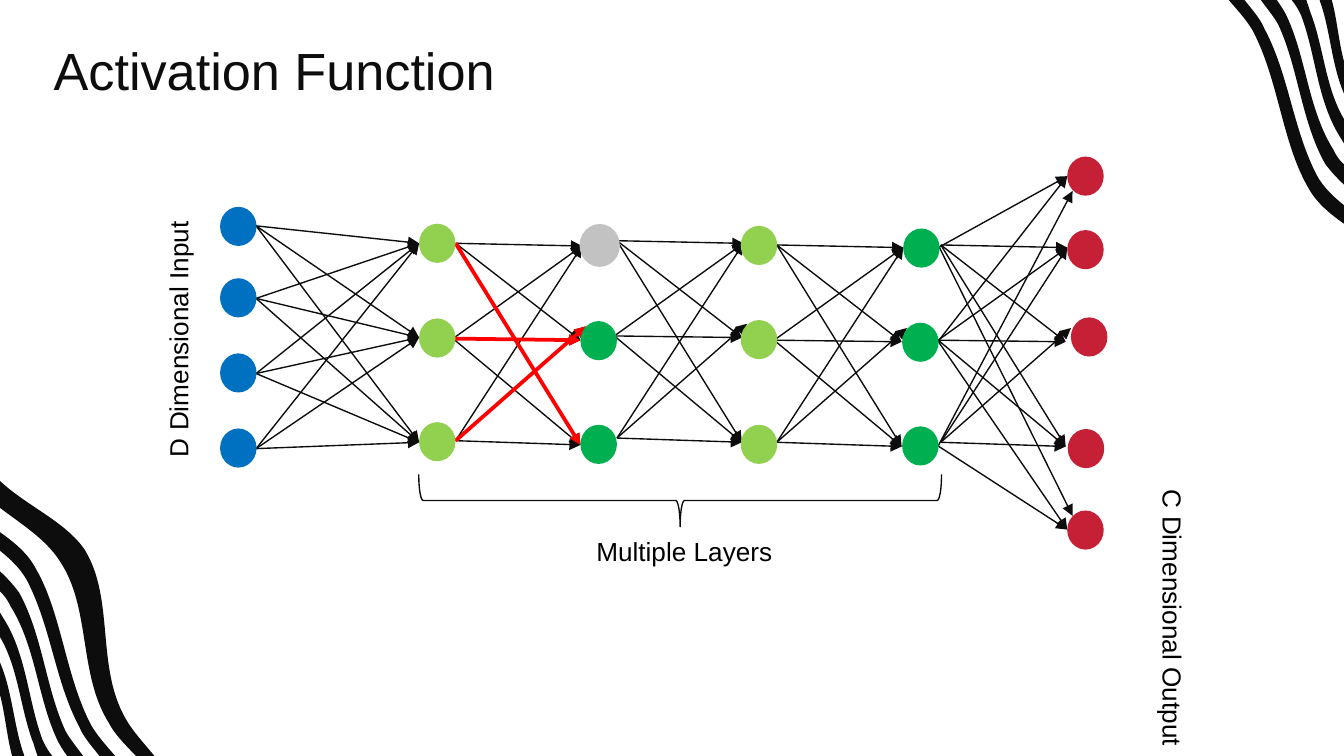
"""Build a slide showing a layered neural network and its activation paths."""
from itertools import product

from lxml.etree import SubElement
from pptx import Presentation
from pptx.dml.color import RGBColor
from pptx.enum.shapes import MSO_CONNECTOR, MSO_SHAPE
from pptx.enum.text import MSO_ANCHOR, PP_ALIGN
from pptx.oxml.ns import qn
from pptx.util import Cm, Pt

INK = RGBColor(0x0D, 0x0D, 0x0D)
BLACK = RGBColor(0x00, 0x00, 0x00)
BLUE = RGBColor(0x00, 0x70, 0xC0)
LIME = RGBColor(0x92, 0xD0, 0x50)
GREEN = RGBColor(0x00, 0xB0, 0x50)
CRIMSON = RGBColor(0xC6, 0x20, 0x37)
RED = RGBColor(0xFF, 0x00, 0x00)
GREY = RGBColor(0xC2, 0xC2, 0xC2)

WIDTH, HEIGHT = 25.4, 14.29
NODE_WIDTH, NODE_HEIGHT = 0.69, 0.74

presentation = Presentation()
presentation.slide_width, presentation.slide_height = Cm(WIDTH), Cm(HEIGHT)
slide = presentation.slides.add_slide(presentation.slide_layouts[5])
shapes = slide.shapes


def write_text(shape, text, *, size=14, color=BLACK, anchor=MSO_ANCHOR.TOP, spacing=1.0):
    frame = shape.text_frame
    frame.word_wrap = True
    frame.vertical_anchor = anchor
    paragraph = frame.paragraphs[0]
    paragraph.alignment = PP_ALIGN.LEFT
    paragraph.line_spacing = spacing
    run = paragraph.add_run()
    run.text = text
    run.font.name = "Arial"
    run.font.size = Pt(size)
    run.font.color.rgb = color


def add_arrow(start, end, color=INK, width=0.75):
    points = [Cm(value) for value in (*start, *end)]
    arrow = shapes.add_connector(MSO_CONNECTOR.STRAIGHT, *points)
    arrow.line.color.rgb = color
    arrow.line.width = Pt(width)
    SubElement(arrow.line._get_or_add_ln(), qn("a:tailEnd"), type="triangle")
    SubElement(arrow._element.spPr, qn("a:effectLst"))


waves = [
    ([(0, 9.6), (0.41, 9.91), (0.86, 10.19), (1.12, 10.59), (1.73, 11.48), (1.47, 12.73),
      (2.06, 13.67), (2.16, 13.87), (2.36, 14.07), (2.57, 14.29)],
     [(2.92, 14.29), (2.72, 14.05), (2.51, 13.82), (2.39, 13.61), (1.8, 12.62), (2.18, 11.33),
      (1.6, 10.39), (1.24, 9.86), (0.48, 9.55), (0, 9.09)]),
    ([(0, 10.41), (0.2, 10.57), (0.38, 10.74), (0.51, 10.97), (0.97, 11.86), (1.04, 12.88),
      (1.5, 13.74), (1.57, 13.92), (1.73, 14.1), (1.88, 14.29)],
     [(2.18, 14.29), (2.01, 14.1), (1.83, 13.89), (1.73, 13.72), (1.24, 12.8), (1.17, 11.61),
      (0.69, 10.77), (0.53, 10.46), (0.28, 10.26), (0, 10.06)]),
    ([(0, 11.18), (0.08, 11.25), (0.15, 11.35), (0.2, 11.46), (0.66, 12.19), (0.71, 13.13),
      (1.04, 13.89), (1.09, 14.02), (1.17, 14.15), (1.27, 14.29)],
     [(1.57, 14.29), (1.45, 14.12), (1.32, 13.97), (1.24, 13.82), (0.86, 13), (0.81, 12.01),
      (0.36, 11.2), (0.25, 11.05), (0.13, 10.92), (0, 10.8)]),
    ([(0, 12.04), (0.36, 12.65), (0.38, 13.41), (0.64, 14.07), (0.66, 14.15), (0.69, 14.22),
      (0.71, 14.29)],
     [(0.99, 14.29), (0.91, 14.2), (0.86, 14.1), (0.81, 14), (0.53, 13.26), (0.51, 12.4),
      (0.08, 11.71), (0.05, 11.66), (0.03, 11.63), (0, 11.58)]),
    ([(0, 13.13), (0.1, 13.51), (0.13, 13.92), (0.23, 14.29)],
     [(0.46, 14.29), (0.46, 14.25), (0.43, 14.22), (0.43, 14.2), (0.25, 13.64), (0.23, 13.06),
      (0, 12.52)]),
]
waves += [[[(WIDTH - x, HEIGHT - y) for x, y in edge] for edge in edges] for edges in waves[1:]]
for inner_edge, outer_edge in waves:
    points = [(Cm(x), Cm(y)) for x, y in (*inner_edge, *outer_edge)]
    builder = shapes.build_freeform(*points[0])
    builder.add_line_segments(points[1:], close=True)
    wave = builder.convert_to_shape()
    wave.shadow.inherit = False
    wave.fill.solid()
    wave.fill.fore_color.rgb = INK
    wave.line.fill.background()
    segments = list(wave._element.iter(qn("a:lnTo")))
    del segments[len(inner_edge) - 1]
    for first in range(0, len(segments), 3):
        curve, *controls = segments[first:first + 3]
        curve.tag = qn("a:cubicBezTo")
        for control in controls:
            curve.append(control[0])
            control.getparent().remove(control)

title = shapes.title
title.left, title.top, title.width, title.height = Cm(0.76), Cm(0.62), Cm(20.55), Cm(1.6)
write_text(title, "Activation Function", size=28, color=INK, anchor=MSO_ANCHOR.MIDDLE, spacing=0.8)

input_starts = [(4.84, y) for y in (4.27, 5.64, 7.06, 8.48)]
input_ends = [(7.92, y) for y in (4.6, 6.38, 8.36)]
for start, end in product(input_starts, input_ends):
    add_arrow(start, end)

layer_starts = [(8.61, 4.6), (8.56, 6.4), (8.61, 8.33)]
layer_ends = [(11, 4.65), (10.97, 6.43), (10.97, 8.41)]
rising_end = (11.07, 6.17)
layer_links = list(product(layer_starts, layer_ends))
layer_links[7] = (layer_starts[2], rising_end)
for shift_x, shift_y in [(0, 0), (3.05, -0.05), (6.07, 0.03), (9.17, 0.03)]:
    for start, end in layer_links:
        add_arrow((start[0] + shift_x, start[1] + shift_y), (end[0] + shift_x, end[1] + shift_y))

output_links = [
    ((17.75, 4.67), [(20.17, 3.33), (20.27, 9.75)]),
    ((17.73, 6.45), [(20.17, 3.33), (20.17, 10.01)]),
    ((17.73, 8.43), [(20.27, 3.61), (20.17, 10.01)]),
]
for start, ends in output_links:
    for end in ends:
        add_arrow(start, end)

for index in (2, 4, 7):
    add_arrow(*layer_links[index], color=RED, width=2)

layers = [
    (BLUE, [(4.16, y) for y in (3.91, 5.26, 6.68, 8.1)]),
    (LIME, [(7.92, y) for y in (4.23, 6.02, 7.98)]),
    (GREEN, [(10.97, y) for y in (6.07, 8.03)]),
    (LIME, [(14, y) for y in (4.27, 6.05, 8.03)]),
    (GREEN, [(17.07, 4.32), (17.05, 6.1), (17.05, 8.06)]),
    (CRIMSON, [(20.17, 2.96), (20.17, 4.35), (20.24, 6), (20.18, 8.11), (20.17, 9.65)]),
    (GREY, [(10.99, 4.27)]),
]
for color, places in layers:
    for x, y in places:
        node = shapes.add_shape(MSO_SHAPE.OVAL, Cm(x), Cm(y), Cm(NODE_WIDTH), Cm(NODE_HEIGHT))
        node.shadow.inherit = False
        node.fill.solid()
        node.fill.fore_color.rgb = color
        if color == GREY:
            node.line.color.rgb = GREY
            node.line.width = Pt(2)
        else:
            node.line.fill.background()

brace = shapes.add_shape(MSO_SHAPE.LEFT_BRACE, Cm(12.36), Cm(4.52), Cm(0.99), Cm(9.88))
brace.rotation = 270
brace.shadow.inherit = False
brace.fill.background()
brace.line.color.rgb = INK
brace.line.width = Pt(0.75)

labels = [
    ("D Dimensional Input", 0.79, 5.88, 5.16, 270),
    ("Multiple Layers", 11.02, 9.99, 5.16, 0),
    ("C Dimensional Output", 19.34, 11.4, 5.64, 90),
]
for text, x, y, width, rotation in labels:
    label = shapes.add_textbox(Cm(x), Cm(y), Cm(width), Cm(0.86))
    label.rotation = rotation
    write_text(label, text)

presentation.save("out.pptx")
